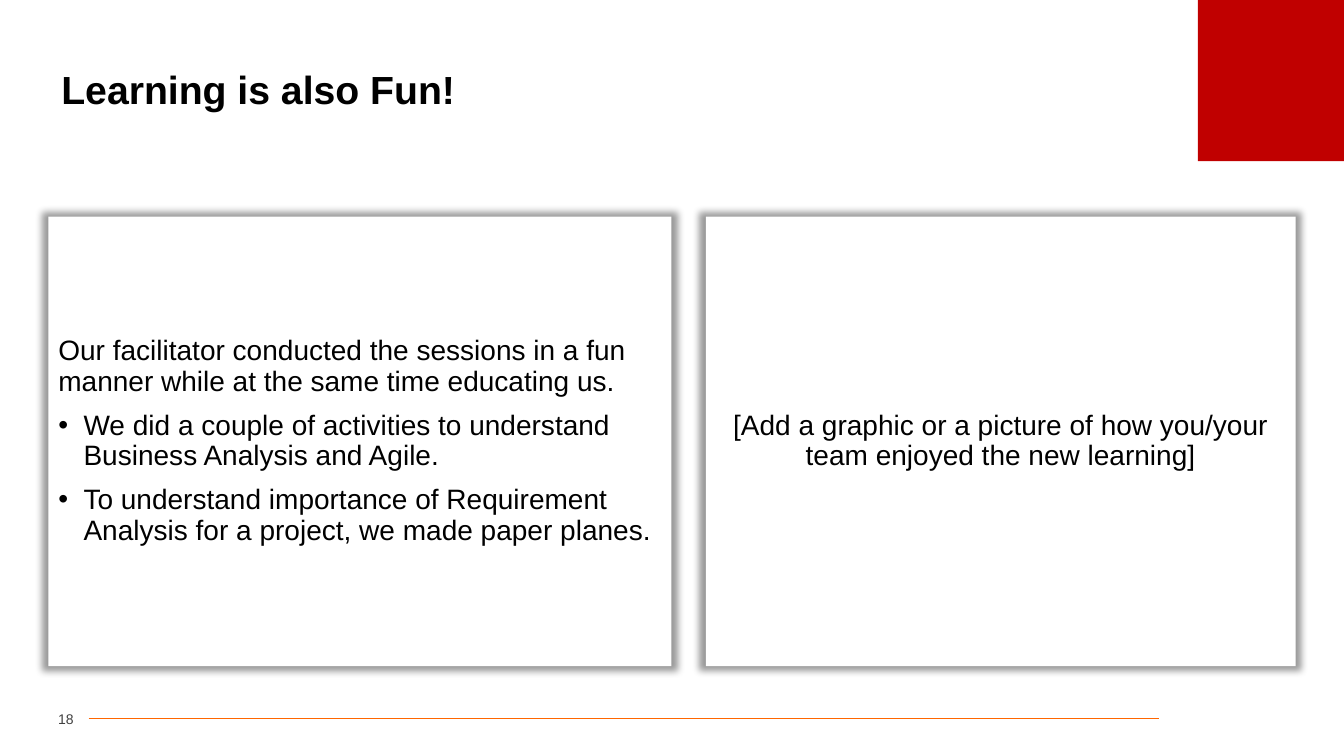
from lxml import etree
from pptx import Presentation
from pptx.dml.color import RGBColor
from pptx.enum.shapes import MSO_CONNECTOR, MSO_SHAPE
from pptx.enum.text import MSO_ANCHOR, PP_ALIGN
from pptx.oxml import parse_xml
from pptx.oxml.ns import nsdecls, qn
from pptx.util import Inches, Pt


def color(hex_string):
    return RGBColor.from_string(hex_string)


def write_text(shape, paragraphs, size=20, hex_color="000000", bold=False,
               align=PP_ALIGN.LEFT, line_spacing=0.9, space_before=0,
               side_inset=0.1):
    """Fill a shape with paragraphs; a leading "• " makes a bulleted one."""
    frame = shape.text_frame
    frame.word_wrap = True
    frame.vertical_anchor = MSO_ANCHOR.MIDDLE
    frame.margin_left = frame.margin_right = Inches(side_inset)
    for index, text in enumerate(paragraphs):
        paragraph = frame.add_paragraph() if index else frame.paragraphs[0]
        paragraph.alignment = align
        paragraph.line_spacing = line_spacing
        paragraph.space_before = Pt(space_before)
        run = paragraph.add_run()
        run.text = text.removeprefix("• ")
        run.font.name = "Arial"
        run.font.size = Pt(size)
        run.font.bold = bold
        run.font.color.rgb = color(hex_color)
        if text.startswith("• "):
            properties = paragraph._p.get_or_add_pPr()
            properties.set("marL", str(Inches(0.25)))
            properties.set("indent", str(Inches(-0.25)))
            etree.SubElement(properties, qn("a:buFont")).set("typeface", "Arial")
            etree.SubElement(properties, qn("a:buChar")).set("char", "•")


presentation = Presentation()
presentation.slide_width = Inches(13.33)
presentation.slide_height = Inches(7.5)
slide = presentation.slides.add_slide(presentation.slide_layouts[6])
shapes = slide.shapes

# Footer rule
footer_line = shapes.add_connector(
    MSO_CONNECTOR.STRAIGHT, Inches(0.88), Inches(7.13), Inches(11.5), Inches(7.13))
footer_line.line.color.rgb = color("FF6600")
footer_line.line.width = Pt(0.5)
etree.SubElement(footer_line._element.spPr, qn("a:effectLst"))

# Red corner block
corner = shapes.add_shape(
    MSO_SHAPE.RECTANGLE, Inches(11.88), 0, Inches(1.46), Inches(1.6))
corner.shadow.inherit = False
corner.fill.solid()
corner.fill.fore_color.rgb = color("C00000")
corner.line.fill.background()

# Title and page number
title = shapes.add_textbox(Inches(0.51), Inches(0.52), Inches(12.31), Inches(0.78))
write_text(title, ["Learning is also Fun!"], size=28, bold=True)
page_number = shapes.add_textbox(Inches(0.33), Inches(6.99), Inches(0.4), Inches(0.29))
write_text(page_number, ["18"], size=10, hex_color="404040",
           align=PP_ALIGN.RIGHT, line_spacing=1.0, side_inset=0)

# Two white panels with a soft shadow all round
panels = [
    (0.48, 6.18, PP_ALIGN.LEFT, [
        "Our facilitator conducted the sessions in a fun manner while at the same "
        "time educating us.",
        "• We did a couple of activities to understand Business Analysis and Agile.",
        "• To understand importance of Requirement Analysis for a project, we made "
        "paper planes.",
    ]),
    (7, 5.85, PP_ALIGN.CENTER, [
        "[Add a graphic or a picture of how you/your team enjoyed the new learning]",
    ]),
]
for left, width, align, paragraphs in panels:
    panel = shapes.add_shape(
        MSO_SHAPE.RECTANGLE, Inches(left), Inches(2.15), Inches(width), Inches(4.46))
    panel.fill.solid()
    panel.fill.fore_color.rgb = color("FFFFFF")
    panel.line.fill.background()
    panel.shadow.inherit = False
    effects = panel._element.spPr.find(qn("a:effectLst"))
    effects.append(parse_xml(
        f'<a:outerShdw {nsdecls("a")} blurRad="{Pt(5)}" dist="0" dir="0" '
        'sx="102000" sy="102000" algn="ctr" rotWithShape="0">'
        '<a:srgbClr val="000000"><a:alpha val="40000"/></a:srgbClr></a:outerShdw>'))
    write_text(panel, paragraphs, align=align, space_before=10)

presentation.save("out.pptx")
